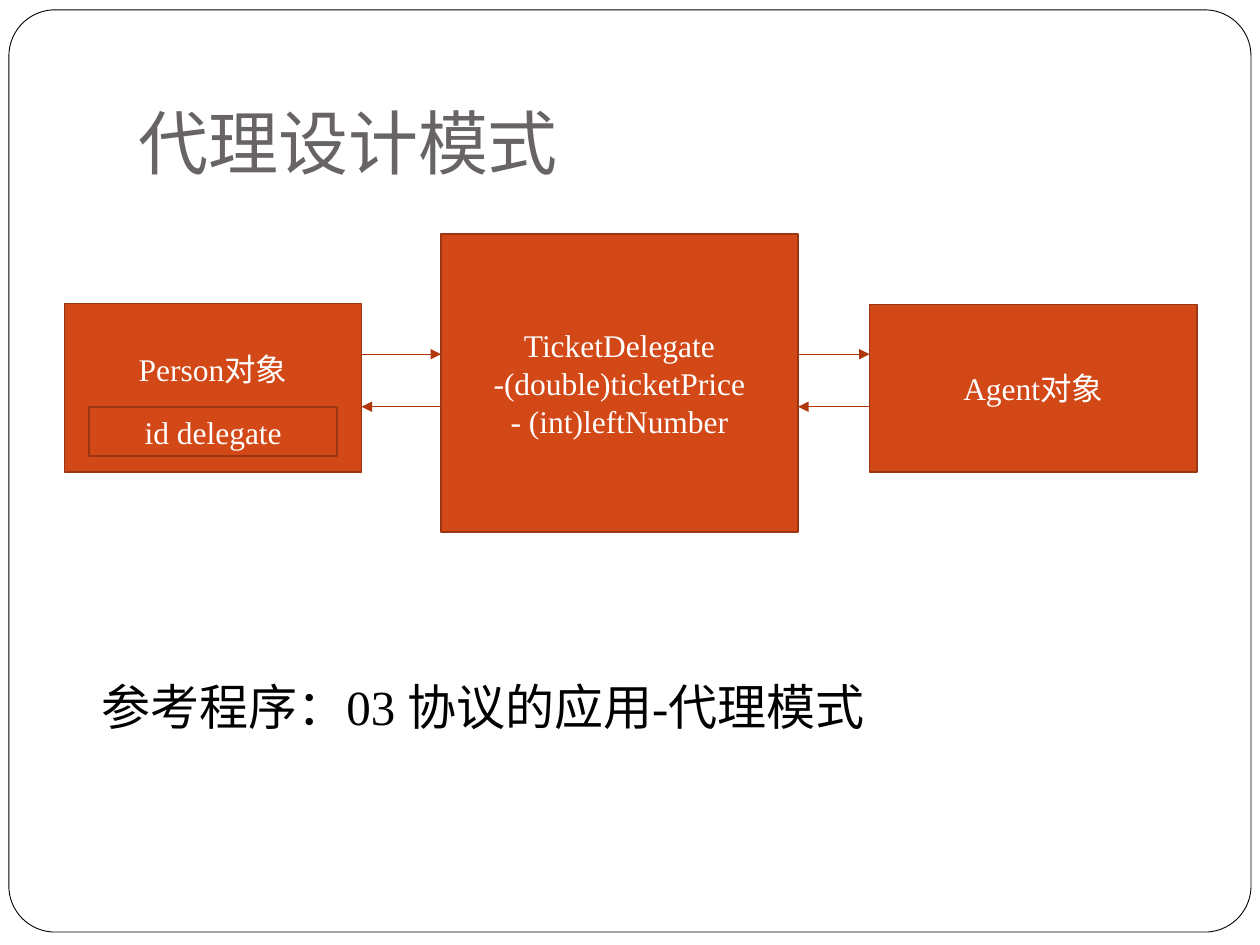
"""Build a slide that explains the delegate design pattern."""
from dataclasses import dataclass

from lxml.etree import SubElement
from pptx import Presentation
from pptx.dml.color import RGBColor
from pptx.enum.shapes import MSO_CONNECTOR, MSO_SHAPE
from pptx.enum.text import MSO_ANCHOR, PP_ALIGN
from pptx.oxml.ns import qn
from pptx.util import Cm, Pt


@dataclass(frozen=True)
class Theme:
    white: RGBColor = RGBColor.from_string("FFFFFF")
    black: RGBColor = RGBColor.from_string("000000")
    title: RGBColor = RGBColor.from_string("696464")
    box: RGBColor = RGBColor.from_string("D34817")
    border: RGBColor = RGBColor.from_string("9C3511")
    arrow: RGBColor = RGBColor.from_string("B1360B")
    title_font: str = "Cabin"
    body_font: str = "Times New Roman"
    title_size: Pt = Pt(40)
    note_size: Pt = Pt(28)
    box_size: Pt = Pt(18)


theme = Theme()


def add_box(kind, bounds, fill, line, width):
    shape = slide.shapes.add_shape(kind, *map(Cm, bounds))
    shape.shadow.inherit = False
    shape.fill.solid()
    shape.fill.fore_color.rgb = fill
    shape.line.color.rgb = line
    shape.line.width = width
    return shape


def write_text(shape, text, font, size, color, align, anchor):
    text_frame = shape.text_frame
    text_frame.text = text
    text_frame.word_wrap = True
    text_frame.vertical_anchor = anchor
    for paragraph in text_frame.paragraphs:
        paragraph.alignment = align
        for run in paragraph.runs:
            run.font.name = font
            run.font.size = size
            run.font.color.rgb = color


presentation = Presentation()
presentation.slide_width = Cm(25.4)
presentation.slide_height = Cm(19.05)
slide = presentation.slides.add_slide(presentation.slide_layouts[6])

frame = add_box(MSO_SHAPE.ROUNDED_RECTANGLE, (0.18, 0.2, 25.04, 18.59),
                theme.white, theme.black, Pt(0.5))
frame.adjustments[0] = 0.05

title = slide.shapes.add_textbox(Cm(2.54), Cm(0.76), Cm(21.59), Cm(3.18))
write_text(title, "代理设计模式", theme.title_font, theme.title_size,
           theme.title, PP_ALIGN.LEFT, MSO_ANCHOR.BOTTOM)
title.text_frame.margin_bottom = Cm(0.25)

boxes = {}
for name, text, bounds in (
    ("person", "Person对象", (1.3, 6.12, 5.99, 3.4)),
    ("agent", "Agent对象", (17.53, 6.14, 6.6, 3.38)),
    ("protocol", "TicketDelegate\n-(double)ticketPrice\n- (int)leftNumber",
     (8.89, 4.72, 7.2, 6)),
    ("delegate", "id delegate", (1.8, 8.2, 5, 1)),
):
    boxes[name] = add_box(MSO_SHAPE.RECTANGLE, bounds,
                          theme.box, theme.border, Pt(1))
    write_text(boxes[name], text, theme.body_font, theme.box_size,
               theme.white, PP_ALIGN.CENTER, MSO_ANCHOR.MIDDLE)
boxes["person"].text_frame.margin_bottom = Cm(0.89)

for left_box, right_box in (("person", "protocol"), ("protocol", "agent")):
    left = boxes[left_box].left + boxes[left_box].width
    right = boxes[right_box].left
    for start, end, height in ((left, right, Cm(7.14)), (right, left, Cm(8.2))):
        connector = slide.shapes.add_connector(
            MSO_CONNECTOR.STRAIGHT, start, height, end, height)
        connector.line.color.rgb = theme.arrow
        connector.line.width = Pt(0.75)
        SubElement(connector.line._get_or_add_ln(), qn("a:tailEnd"), type="triangle")
        SubElement(connector._element.spPr, qn("a:effectLst"))

note = slide.shapes.add_textbox(Cm(1.8), Cm(13.51), Cm(17.91), Cm(1.45))
write_text(note, "参考程序：03 协议的应用-代理模式", theme.body_font,
           theme.note_size, theme.black, PP_ALIGN.LEFT, MSO_ANCHOR.TOP)

presentation.save("out.pptx")
